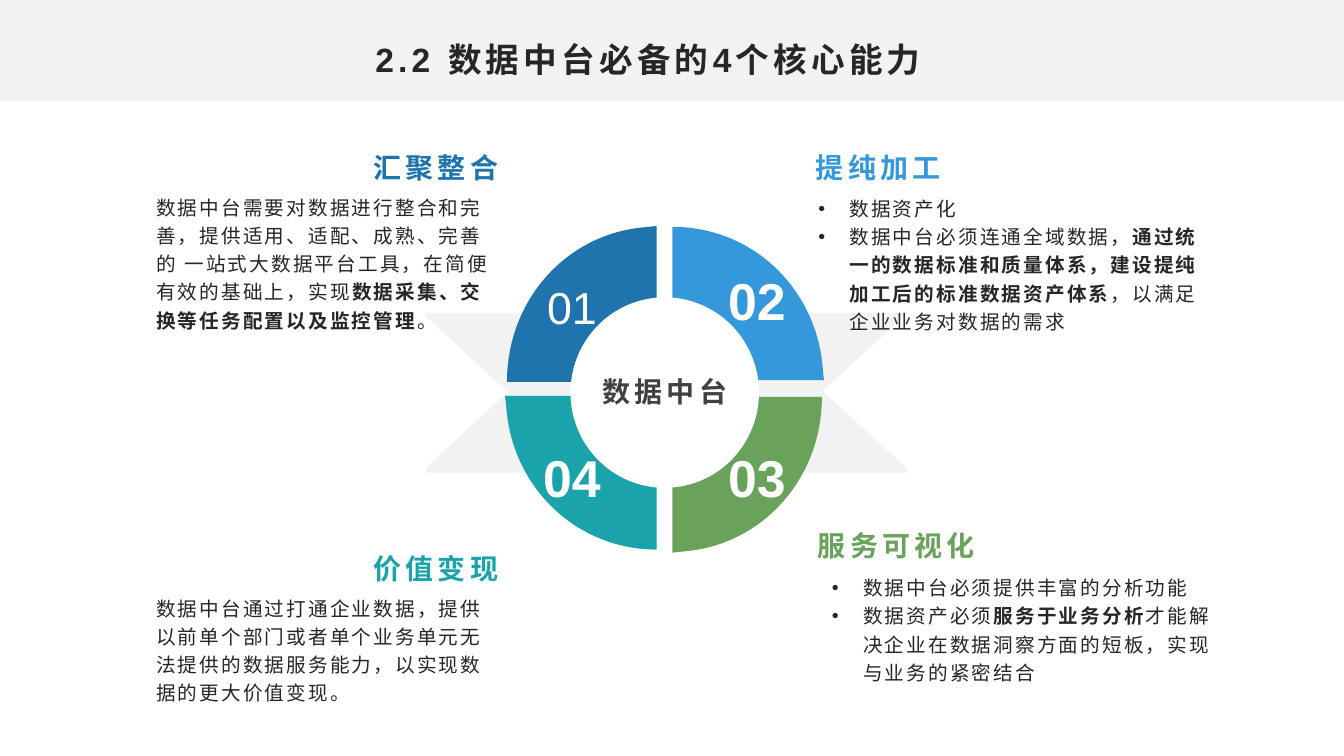
from dataclasses import dataclass

import pptx
import pptx.util
import pptx.dml.color
import pptx.enum.shapes
import pptx.enum.text
from lxml import etree

Kind = pptx.enum.shapes.MSO_SHAPE
Align = pptx.enum.text.PP_ALIGN
Fit = pptx.enum.text.MSO_AUTO_SIZE
Mid = pptx.enum.text.MSO_ANCHOR.MIDDLE
Top = pptx.enum.text.MSO_ANCHOR.TOP
NAME = "{http://schemas.openxmlformats.org/drawingml/2006/main}"
COLS = 160
WIDE = pptx.util.Inches(13.333)
HIGH = pptx.util.Inches(7.5)
CELL = WIDE / COLS


@dataclass(frozen=True)
class Theme:
    font: str = "Arial"
    blue: str = "1F74AD"
    sky: str = "3498DB"
    green: str = "69A35B"
    teal: str = "1AA3AA"
    pale: str = "F2F2F2"
    white: str = "FFFFFF"
    ink: str = "262626"
    gray: str = "404040"
    title: int = 24
    head: int = 20
    body: int = 14
    first: int = 32
    digit: int = 37


LOOK = Theme()


def grid(*cells):
    return [round(cell * CELL) for cell in cells]


def rgb(code):
    return pptx.dml.color.RGBColor.from_string(code)


def paint(shape, color):
    shape.shadow.inherit = False
    shape.fill.solid()
    shape.fill.fore_color.rgb = rgb(color)
    shape.line.fill.background()


def block(slide, kind, area, color):
    paint(slide.shapes.add_shape(kind, *grid(*area)), color)


def outline(slide, points, color):
    dots = [grid(*point) for point in points]
    form = slide.shapes.build_freeform(*dots[0], scale=1.0)
    form.add_line_segments(dots[1:], close=True)
    shape = form.convert_to_shape()
    paint(shape, color)
    return shape


def sector(slide, area, turn, color):
    left, top, width, height = area
    points = [(left + across * width, top + down * height)
              for across, down in [(0, 0), (1, 0), (0.1, 0.99), (0, 1)]]
    shape = outline(slide, points, color)
    bend = list(shape._element.iter(NAME + "lnTo"))[1]
    bend.tag = NAME + "cubicBezTo"
    for index, (across, down) in enumerate([(1, 0.52), (0.61, 0.94)]):
        knob = etree.Element(NAME + "pt")
        for axis, cells in [("x", across * width), ("y", down * height)]:
            knob.set(axis, str(round(cells * CELL)))
        bend.insert(index, knob)
    shape.rotation = turn


def bullet(para):
    props = para._p.get_or_add_pPr()
    inset = pptx.util.Inches(0.31)
    props.set("marL", str(inset))
    props.set("indent", str(-inset))
    etree.SubElement(props, NAME + "buFont").set("typeface", LOOK.font)
    etree.SubElement(props, NAME + "buChar").set("char", "•")


def text(slide, area, paras, size, color, bold=False, gap=0, align=Align.LEFT,
         anchor=Top, pads=(0.05, 0.05), lead=None, dots=False):
    box = slide.shapes.add_textbox(*grid(*area))
    frame = box.text_frame
    frame.word_wrap = True
    frame.vertical_anchor = anchor
    frame.margin_top, frame.margin_bottom = map(pptx.util.Inches, pads)
    for index, words in enumerate(paras):
        para = frame.add_paragraph() if index else frame.paragraphs[0]
        para.alignment = align
        para.line_spacing = lead
        if dots:
            bullet(para)
        for turn, part in enumerate(words.split("*")):
            run = para.add_run()
            run.text = part
            run.font.name = LOOK.font
            run.font.size = pptx.util.Pt(size)
            run.font.bold = bold or turn % 2 == 1
            run.font.color.rgb = rgb(color)
            if gap:
                run.font._element.set("spc", str(round(gap * 100)))
    return frame


def topic(slide, spot, words, color, align, area, paras, dots):
    text(slide, area, paras, LOOK.body, LOOK.ink, gap=1.5,
         pads=(0, 0.05), lead=1.2, dots=dots)
    head = text(slide, (*spot, 43.2, 5.4), [words], LOOK.head, color, True, 3,
                align, Mid, (0.05, 0), 1.2)
    head.auto_size = Fit.SHAPE_TO_FIT_TEXT


def wheel(slide):
    outline(slide, [(50.72, 37.24), (107.88, 37.24), (107.88, 37.44),
                    (97.92, 46.56), (107.88, 55.68), (107.88, 56.28),
                    (50.72, 56.28), (50.72, 55.68), (60.48, 46.68),
                    (50.72, 37.68)], LOOK.pale)
    for area, turn, color in [
        ((80.05, 47.25, 17.8, 18.55), 0, LOOK.green),
        ((79.95, 47.25 - 20.15, 18.25, 18.05), 270, LOOK.sky),
        ((60, 47.25, 18.3, 18.05), 90, LOOK.teal),
        ((60.36, 26.9, 17.8, 18.55), 180, LOOK.blue),
    ]:
        sector(slide, area, turn, color)
    block(slide, Kind.OVAL, (67.92, 35.4, 22.44, 22.68), LOOK.white)
    left, right, upper, lower = 62.28, 84.28, 31.96, 53.04
    for label, col, row in [("01", left, upper), ("04", left, lower),
                            ("03", right, lower), ("02", right, upper)]:
        first = label == "01"
        text(slide, (col, row, 11.64, 8.4), [label],
             LOOK.first if first else LOOK.digit, LOOK.white, not first,
             align=Align.CENTER, anchor=Mid, lead=1.1 if first else 0.9)


def main():
    deck = pptx.Presentation()
    deck.slide_width, deck.slide_height = WIDE, HIGH
    slide = deck.slides.add_slide(deck.slide_layouts[6])
    wheel(slide)
    topics = [
        ((95.96, 16.56), "提纯加工", LOOK.sky, Align.LEFT,
         (96.24, 22.88, 48.36, 21.12),
         ["数据资产化",
          "数据中台必须连通全域数据，*通过统一的数据标准和质量体系，建设提纯"
          "加工后的标准数据资产体系*，以满足企业业务对数据的需求"], True),
        ((96.2, 61.52), "服务可视化", LOOK.green, Align.LEFT,
         (97.84, 68.04, 48.24, 13.92),
         ["数据中台必须提供丰富的分析功能",
          "数据资产必须*服务于业务分析*才能解决企业在数据洞察方面的短板，"
          "实现与业务的紧密结合"], True),
        ((17.28, 16.56), "汇聚整合", LOOK.blue, Align.RIGHT,
         (17.42, 22.74, 43.2, 16.32),
         ["数据中台需要对数据进行整合和完善，提供适用、适配、成熟、完善的 "
          "一站式大数据平台工具，在简便有效的基础上，实现"
          "*数据采集、交换等任务配置以及监控管理*。"], False),
        ((17.28, 64.32), "价值变现", LOOK.teal, Align.RIGHT,
         (17.42, 70.48, 43.2, 15),
         ["数据中台通过打通企业数据，提供以前单个部门或者单个业务单元无法"
          "提供的数据服务能力，以实现数据的更大价值变现。"], False),
    ]
    for item in topics:
        topic(slide, *item)
    text(slide, (69.42, 44.04, 19.44, 5.52), ["数据中台"], LOOK.head,
         LOOK.gray, True, 3, Align.CENTER)
    block(slide, Kind.RECTANGLE, (0, 0, COLS, 12), LOOK.pale)
    text(slide, (3.16, 2.56, 147.96, 6.84), ["2.2 数据中台必备的4个核心能力"],
         LOOK.title, LOOK.ink, True, 3, Align.CENTER, pads=(0.05, 0), lead=1.3)
    deck.save("out.pptx")


if __name__ == "__main__":
    main()
